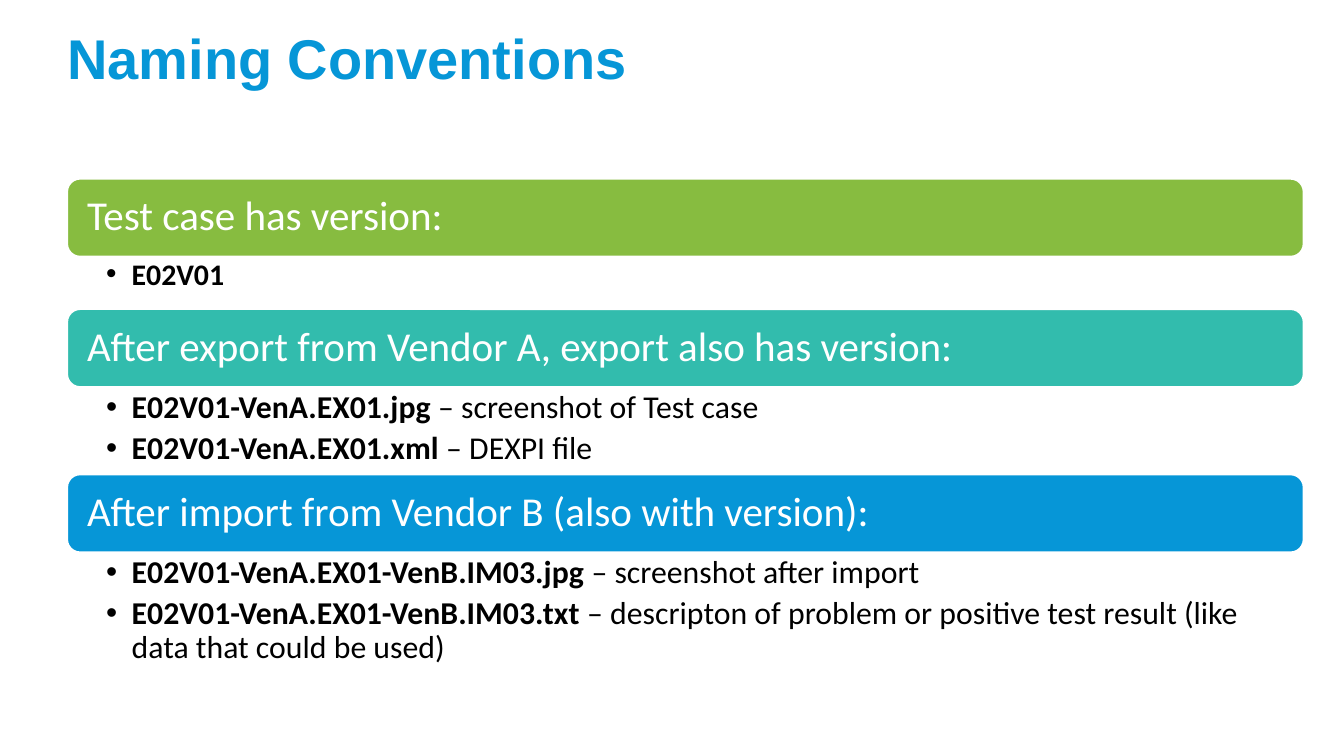
from pptx import Presentation
from pptx.dml.color import RGBColor
from pptx.enum.shapes import MSO_SHAPE
from pptx.enum.text import MSO_ANCHOR, PP_ALIGN
from pptx.oxml.ns import qn
from pptx.util import Inches, Pt
from lxml import etree

ROUNDED = MSO_SHAPE.ROUNDED_RECTANGLE
TOP, MIDDLE = MSO_ANCHOR.TOP, MSO_ANCHOR.MIDDLE
LEFT = PP_ALIGN.LEFT

TITLE = "Naming Conventions"
SECTIONS = [
    {"heading": "Test case has version:", "color": "green", "size": "short_list",
     "height": 0.39, "insets": (0.29, 0.02, 0.12, 0.02),
     "items": [("E02V01", "")]},
    {"heading": "After export from Vendor A, export also has version:",
     "color": "teal", "size": "list",
     "height": 0.65, "insets": (0.29, 0.03, 0.17, 0.03),
     "items": [("E02V01-VenA.EX01.jpg", " – screenshot of Test case"),
               ("E02V01-VenA.EX01.xml", " – DEXPI file")]},
    {"heading": "After import from Vendor B (also with version):",
     "color": "blue", "size": "list",
     "height": 0.92, "insets": (0.29, 0.03, 0.17, 0.03),
     "items": [("E02V01-VenA.EX01-VenB.IM03.jpg", " – screenshot after import"),
               ("E02V01-VenA.EX01-VenB.IM03.txt",
                " – descripton of problem or positive test result "
                "(like data that could be used)")]},
]

THEME = {
    "title_font": "Arial",
    "body_font": "Calibri",
    "sizes": {"title": 30, "heading": 22, "list": 17, "short_list": 16},
    "colors": {"green": "87BC40", "teal": "32BCAD", "blue": "0696D7",
               "white": "FFFFFF", "black": "000000"},
}

PAGE_WIDTH = Inches(10)
PAGE_HEIGHT = PAGE_WIDTH * 9 // 16
MARGIN, WIDTH = 0.5, 9.2
FIRST_TOP, HEADING_HEIGHT = 1.33, 0.58
BULLET_INDENT = 0.19


def color(name):
    return RGBColor.from_string(THEME["colors"][name])


def set_frame(frame, insets, anchor):
    frame.word_wrap = True
    frame.vertical_anchor = anchor
    (frame.margin_left, frame.margin_top,
     frame.margin_right, frame.margin_bottom) = map(Inches, insets)


def style(para, font, size, ink, bold=None):
    para.alignment = LEFT
    para.line_spacing = 0.9
    para.font.name = font
    para.font.size = Pt(THEME["sizes"][size])
    para.font.color.rgb = color(ink)
    para.font.bold = bold


def add_bullet(para):
    properties = para._p.get_or_add_pPr()
    properties.set("marL", str(Inches(BULLET_INDENT)))
    properties.set("indent", str(-Inches(BULLET_INDENT)))
    bullet_font = etree.SubElement(properties, qn("a:buFont"))
    bullet_font.set("typeface", "Arial")
    bullet = etree.SubElement(properties, qn("a:buChar"))
    bullet.set("char", "•")
    defaults = properties.find(qn("a:defRPr"))
    properties.append(defaults)


def add_heading(page, section, top):
    box = page.shapes.add_shape(ROUNDED, Inches(MARGIN), Inches(top),
                                Inches(WIDTH), Inches(HEADING_HEIGHT))
    box.shadow.inherit = False
    box.fill.solid()
    box.fill.fore_color.rgb = color(section["color"])
    box.line.color.rgb = color("white")
    box.line.width = Pt(1)
    set_frame(box.text_frame, (0.12, 0.09, 0.12, 0.09), MIDDLE)
    para = box.text_frame.paragraphs[0]
    para.text = section["heading"]
    style(para, THEME["body_font"], "heading", "white")


def add_list(page, section, top):
    box = page.shapes.add_textbox(Inches(MARGIN), Inches(top),
                                  Inches(WIDTH), Inches(section["height"]))
    frame = box.text_frame
    set_frame(frame, section["insets"], TOP)
    for index, (name, note) in enumerate(section["items"]):
        para = frame.add_paragraph() if index else frame.paragraphs[0]
        style(para, THEME["body_font"], section["size"], "black")
        para.level = 1
        para.space_after = Pt(0.2 * THEME["sizes"][section["size"]])
        add_bullet(para)
        for text, bold in ((name, True), (note, False)):
            if text:
                span = para.add_run()
                span.text = text
                span.font.bold = bold


def main():
    deck = Presentation()
    deck.slide_width, deck.slide_height = PAGE_WIDTH, PAGE_HEIGHT
    page = deck.slides.add_slide(deck.slide_layouts[5])

    title = page.shapes.title
    title.left, title.top = Inches(MARGIN), Inches(0.23)
    title.width, title.height = Inches(9), Inches(0.94)
    title.text = TITLE
    set_frame(title.text_frame, (0, 0, 0, 0), TOP)
    style(title.text_frame.paragraphs[0], THEME["title_font"], "title", "blue", True)

    top = FIRST_TOP
    for section in SECTIONS:
        add_heading(page, section, top)
        add_list(page, section, top + HEADING_HEIGHT)
        top += HEADING_HEIGHT + section["height"]

    deck.save("out.pptx")


if __name__ == "__main__":
    main()
